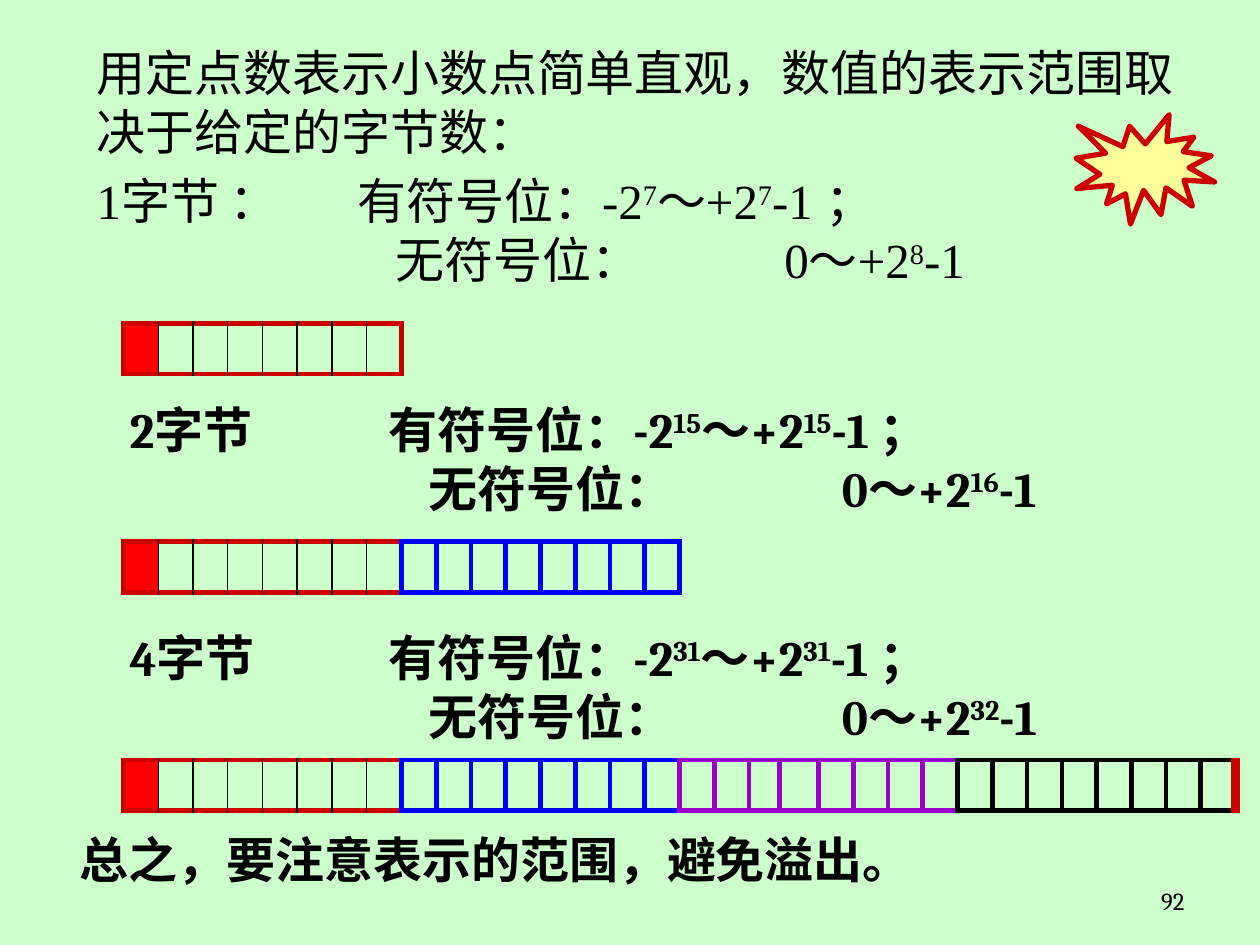
from lxml.etree import SubElement
from pptx import Presentation
from pptx.dml.color import RGBColor
from pptx.enum.shapes import MSO_SHAPE
from pptx.enum.text import PP_ALIGN
from pptx.oxml import parse_xml
from pptx.oxml.ns import nsdecls, qn
from pptx.util import Pt

MINT = RGBColor(0xCC, 0xFF, 0xCC)
BLACK = RGBColor(0, 0, 0)
RED = RGBColor(0xFF, 0, 0)
CRIMSON = RGBColor(0xCC, 0, 0)
BLUE = RGBColor(0, 0, 0xFF)
PURPLE = RGBColor(0x99, 0, 0xCC)
YELLOW = RGBColor(0xFF, 0xFF, 0x99)

SERIF = "Times New Roman"
HEADING = "Cambria"

INTRO = "用定点数表示小数点简单直观，数值的表示范围取决于给定的字节数："
SUMMARY = "总之，要注意表示的范围，避免溢出。"
PAGE_NUMBER = "92"

BIT_COUNT = 8
BIT_WIDTH = 19.86
BYTE_LEFT, BYTE_HEIGHT = 70.6, 28.8
BYTE_ROWS = [(185, 1), (309.6, 2), (434.2, 4)]
BYTE_COLORS = [CRIMSON, BLUE, PURPLE, BLACK]
PURPLE_WIDTHS = {2: 17.3, 3: 22.4}


def range_lines(label, signed_power, unsigned_power):
    return [
        [label + "\t有符号位：-2", ("sup", signed_power), "～+2", ("sup", signed_power), "-1 ；"],
        ["\t\t无符号位：\t0～+2", ("sup", unsigned_power), "-1"],
    ]


def set_tabs(para, stops):
    tab_list = SubElement(para._p.get_or_add_pPr(), qn("a:tabLst"))
    for stop in stops:
        SubElement(tab_list, qn("a:tab"), pos=str(Pt(stop)), algn="l")


def add_text(slide, paragraphs, left, top, width, height, size=28, font=HEADING,
             bold=False, align=PP_ALIGN.LEFT, wrap=True, tabs=(), gap=6):
    box = slide.shapes.add_textbox(Pt(left), Pt(top), Pt(width), Pt(height))
    frame = box.text_frame
    frame.word_wrap = wrap
    for index, lines in enumerate(paragraphs):
        para = frame.add_paragraph() if index else frame.paragraphs[0]
        para.alignment = align
        if index:
            para.space_before = Pt(gap)
        if tabs:
            set_tabs(para, tabs)
        for number, line in enumerate(lines):
            if number:
                para.add_line_break()
            for part in line:
                raised = isinstance(part, tuple)
                span = para.add_run()
                span.text = part[1] if raised else part
                span.font.size = Pt(size)
                span.font.name = font
                span.font.bold = bold
                span.font.color.rgb = BLACK
                if raised:
                    span._r.get_or_add_rPr().set("baseline", "30000")


def set_borders(cell, **sides):
    properties = cell._tc.get_or_add_tcPr()
    for index, side in enumerate("LRTB"):
        color, width = sides[side]
        properties.insert(index, parse_xml(
            f'<a:ln{side} {nsdecls("a")} w="{Pt(width)}"><a:solidFill>'
            f'<a:srgbClr val="{color}"/></a:solidFill></a:ln{side}>'))


def add_byte(slide, position, top):
    color = BYTE_COLORS[position]
    byte_width = BIT_COUNT * BIT_WIDTH
    table = slide.shapes.add_table(
        1, BIT_COUNT, Pt(BYTE_LEFT + position * byte_width), Pt(top),
        Pt(byte_width), Pt(BYTE_HEIGHT)).table
    table.first_row = False
    table.horz_banding = False
    outer = (color, 3)
    inner = (BLACK, 1) if position == 0 else outer
    last = BIT_COUNT - 1
    for bit in range(BIT_COUNT):
        special = PURPLE_WIDTHS if color == PURPLE else {}
        table.columns[bit].width = Pt(special.get(bit, BIT_WIDTH))
        cell = table.cell(0, bit)
        cell.margin_left = cell.margin_right = cell.margin_top = cell.margin_bottom = 0
        if position == 0 and bit == 0:
            cell.fill.solid()
            cell.fill.fore_color.rgb = RED
        else:
            cell.fill.background()
        end = (CRIMSON, 6) if color == BLACK else outer
        set_borders(cell, L=inner if bit else outer, R=end if bit == last else inner,
                    T=outer, B=outer)


def main():
    deck = Presentation()
    deck.slide_width, deck.slide_height = Pt(720), Pt(540)
    page = deck.slides.add_slide(deck.slide_layouts[6])
    page.background.fill.solid()
    page.background.fill.fore_color.rgb = MINT

    add_text(page, [[[INTRO]], range_lines("1字节 ：", "7", "8")],
             48.2, 20.9, 633.6, 152.6, font=SERIF, tabs=(149, 171, 393))
    add_text(page, [[[PAGE_NUMBER]]], 516.2, 502.6, 167.8, 26.6, size=14, align=PP_ALIGN.RIGHT)

    for top, byte_count in BYTE_ROWS:
        for position in range(byte_count):
            add_byte(page, position, top)

    burst = page.shapes.add_shape(MSO_SHAPE.EXPLOSION1, Pt(614.9), Pt(65.5), Pt(79.2), Pt(62.6))
    burst.shadow.inherit = False
    burst.fill.solid()
    burst.fill.fore_color.rgb = YELLOW
    burst.line.color.rgb = CRIMSON
    burst.line.width = Pt(3)

    add_text(page, [[[SUMMARY]]], 36.7, 470.2, 493.2, 41, bold=True,
             align=PP_ALIGN.CENTER, wrap=False)
    for label, signed, unsigned, top in [("2字节", "15", "16", 224.6), ("4字节", "31", "32", 355)]:
        add_text(page, [range_lines(label, signed, unsigned)], 67, top, 616, 76,
                 bold=True, tabs=(148, 171, 407))

    deck.save("out.pptx")


if __name__ == "__main__":
    main()
